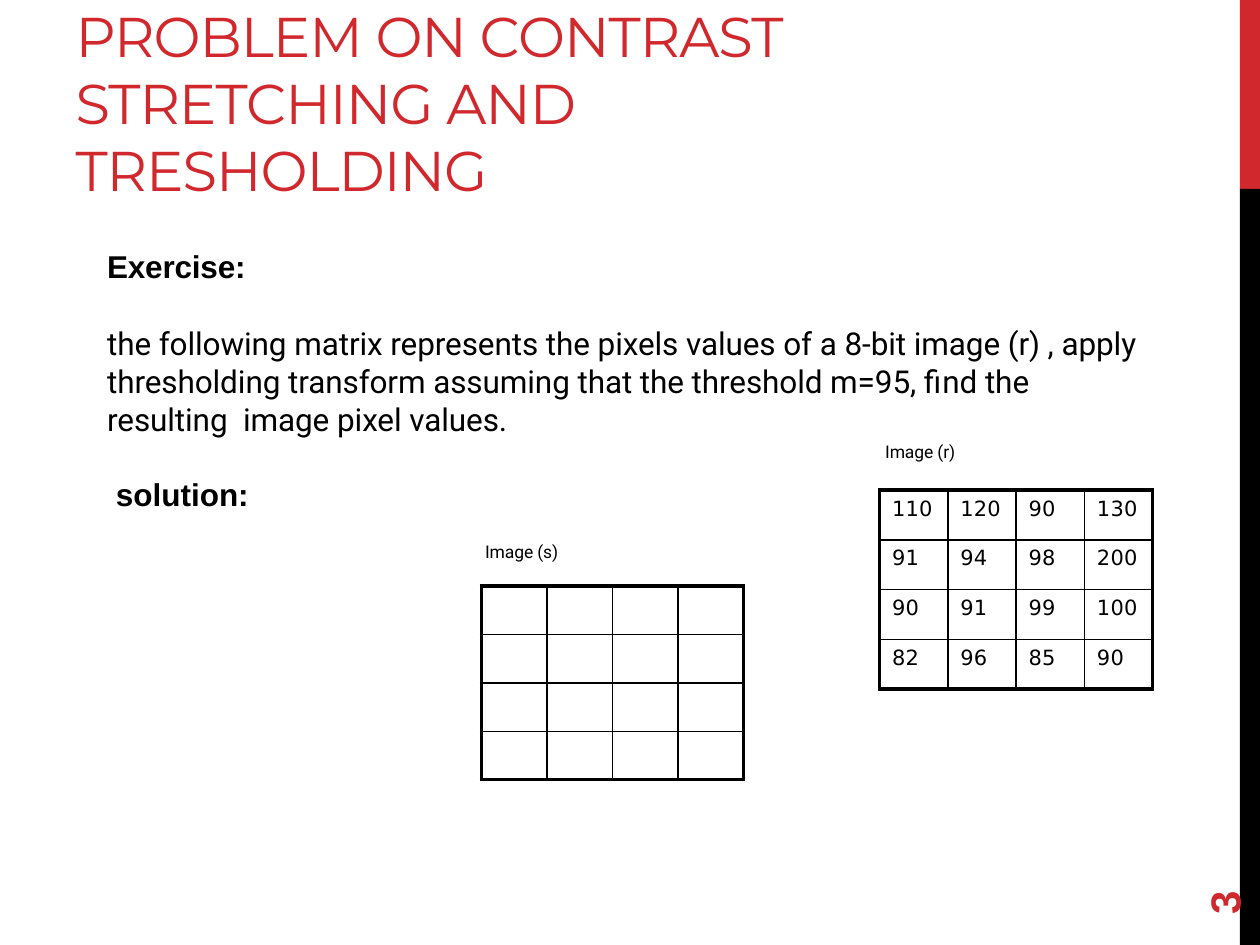
from lxml.etree import SubElement
from pptx import Presentation
from pptx.dml.color import RGBColor
from pptx.enum.shapes import MSO_SHAPE
from pptx.enum.text import PP_ALIGN
from pptx.oxml.ns import qn
from pptx.util import Inches, Pt

RED = RGBColor(0xD1, 0x28, 0x2D)
BLACK = RGBColor(0, 0, 0)
WIDTH, HEIGHT = 10, 7.5
BAND_WIDTH = 0.16
BANDS = [(0, 0.2, RED), (0.2, 0.8, BLACK)]

TITLE = "PROBLEM ON CONTRAST STRETCHING AND TRESHOLDING"
EXERCISE = "Exercise:"
QUESTION = (
    "the following matrix represents the pixels values of a 8-bit image (r) , apply "
    "thresholding transform assuming that the threshold m=95, find the "
    "resulting  image pixel values."
)
INPUT_LABEL = "Image (r)"
SOLUTION = "solution:"
OUTPUT_LABEL = "Image (s)"
PAGE = "3"
INPUT_PIXELS = [
    [110, 120, 90, 130],
    [91, 94, 98, 200],
    [90, 91, 99, 100],
    [82, 96, 85, 90],
]
OUTPUT_PIXELS = [[""] * 4 for _ in range(4)]


def add_text(slide, box, lines, inset=0.01):
    frame = slide.shapes.add_textbox(*map(Inches, box)).text_frame
    frame.word_wrap = True
    frame.margin_left = frame.margin_right = frame.margin_bottom = 0
    frame.margin_top = Inches(inset)
    for index, (text, font, size, color, bold, spacing) in enumerate(lines):
        paragraph = frame.paragraphs[0] if index == 0 else frame.add_paragraph()
        paragraph.text = text
        paragraph._p.get_or_add_pPr().set("marL", str(Inches(0.01)))
        run = paragraph.runs[0]
        run.font.name, run.font.size, run.font.bold = font, Pt(size), bold
        run.font.color.rgb = color
        run._r.get_or_add_rPr().set("spc", str(spacing))
    return frame


def set_borders(cell, widths):
    properties = cell._tc.get_or_add_tcPr()
    for index, (side, width) in enumerate(widths.items()):
        line = SubElement(properties, qn(f"a:ln{side}"), w=str(Pt(width)))
        fill = SubElement(line, qn("a:solidFill"))
        SubElement(fill, qn("a:srgbClr"), val=str(BLACK))
        properties.insert(index, line)


def add_matrix(slide, box, pixels):
    rows, columns = len(pixels), len(pixels[0])
    table = slide.shapes.add_table(rows, columns, *map(Inches, box)).table
    table.first_row = table.horz_banding = False
    for r, values in enumerate(pixels):
        for c, value in enumerate(values):
            cell = table.cell(r, c)
            cell.fill.background()
            cell.margin_left, cell.margin_top = Inches(0.1), Inches(0.05)
            cell.margin_right = cell.margin_bottom = 0
            cell.text = str(value)
            font = cell.text_frame.paragraphs[0].font
            font.size, font.name = Pt(12), "DejaVu Sans"
            font.color.rgb = BLACK
            for run in cell.text_frame.paragraphs[0].runs:
                run.font.size, run.font.name = Pt(12), "DejaVu Sans"
                run.font.color.rgb = BLACK
                run._r.get_or_add_rPr().set("spc", "10")
            outer = {"L": c == 0, "R": c == columns - 1, "T": r == 0, "B": r == rows - 1}
            set_borders(cell, {side: 2.25 if edge else 1 for side, edge in outer.items()})


def main():
    presentation = Presentation()
    presentation.slide_width, presentation.slide_height = Inches(WIDTH), Inches(HEIGHT)
    slide = presentation.slides.add_slide(presentation.slide_layouts[6])

    for top, share, color in BANDS:
        band = slide.shapes.add_shape(
            MSO_SHAPE.RECTANGLE, Inches(WIDTH - BAND_WIDTH), Inches(top * HEIGHT),
            Inches(BAND_WIDTH), Inches(share * HEIGHT))
        band.shadow.inherit = False
        band.fill.solid()
        band.fill.fore_color.rgb = color
        band.line.fill.background()

    add_matrix(slide, (6.98, 3.89, 2.17, 1.58), INPUT_PIXELS)

    body = add_text(slide, (0.84, 1.95, 8.32, 2.13), [
        (EXERCISE, "Arial", 18, BLACK, True, -10),
        (QUESTION, "Roboto", 18, BLACK, False, -5),
        (INPUT_LABEL, "Roboto", 10, BLACK, False, -5),
        (SOLUTION, "Arial", 18, BLACK, True, 0),
    ])
    exercise, question, input_label, solution = body.paragraphs
    exercise.space_after = Pt(22.5)
    input_label.alignment = PP_ALIGN.RIGHT
    input_label.space_before = Pt(1.8)
    input_label._p.get_or_add_pPr().set("marR", str(Inches(1.58)))
    solution.space_before = Pt(7.8)
    solution._p.get_or_add_pPr().set("marL", str(Inches(0.08)))

    add_text(slide, (3.84, 4.28, 0.61, 0.19),
             [(OUTPUT_LABEL, "Roboto", 10, BLACK, False, -5)])
    add_matrix(slide, (3.82, 4.65, 2.08, 1.54), OUTPUT_PIXELS)
    add_text(slide, (0.59, 0, 6.07, 1.63),
             [(TITLE, "Montserrat", 32, RED, False, -60)])

    page = add_text(slide, (9.53, 7.06, 0.4, 0.21),
                    [(PAGE, "Arial", 24, RED, True, 0)], inset=0)
    page._txBody.bodyPr.set("vert", "vert270")
    page.paragraphs[0].line_spacing = Pt(27.6)

    presentation.save("out.pptx")


if __name__ == "__main__":
    main()
